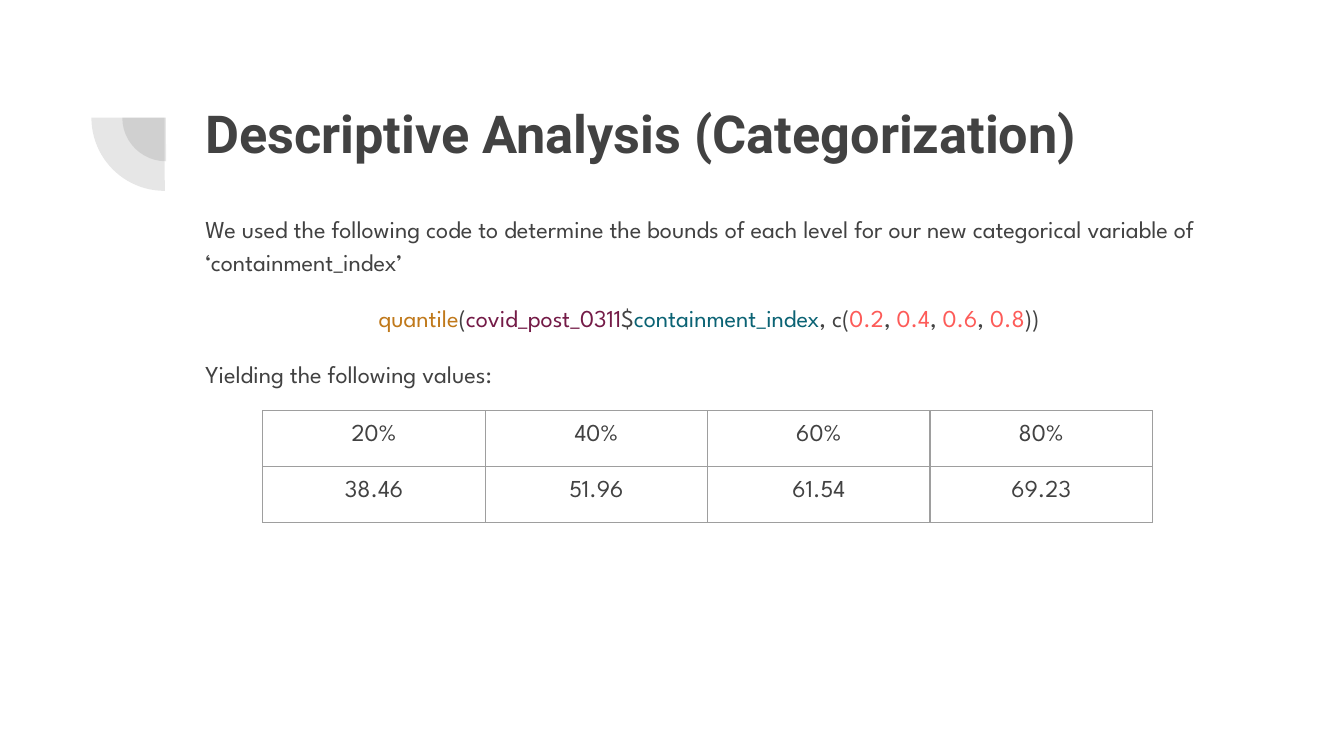
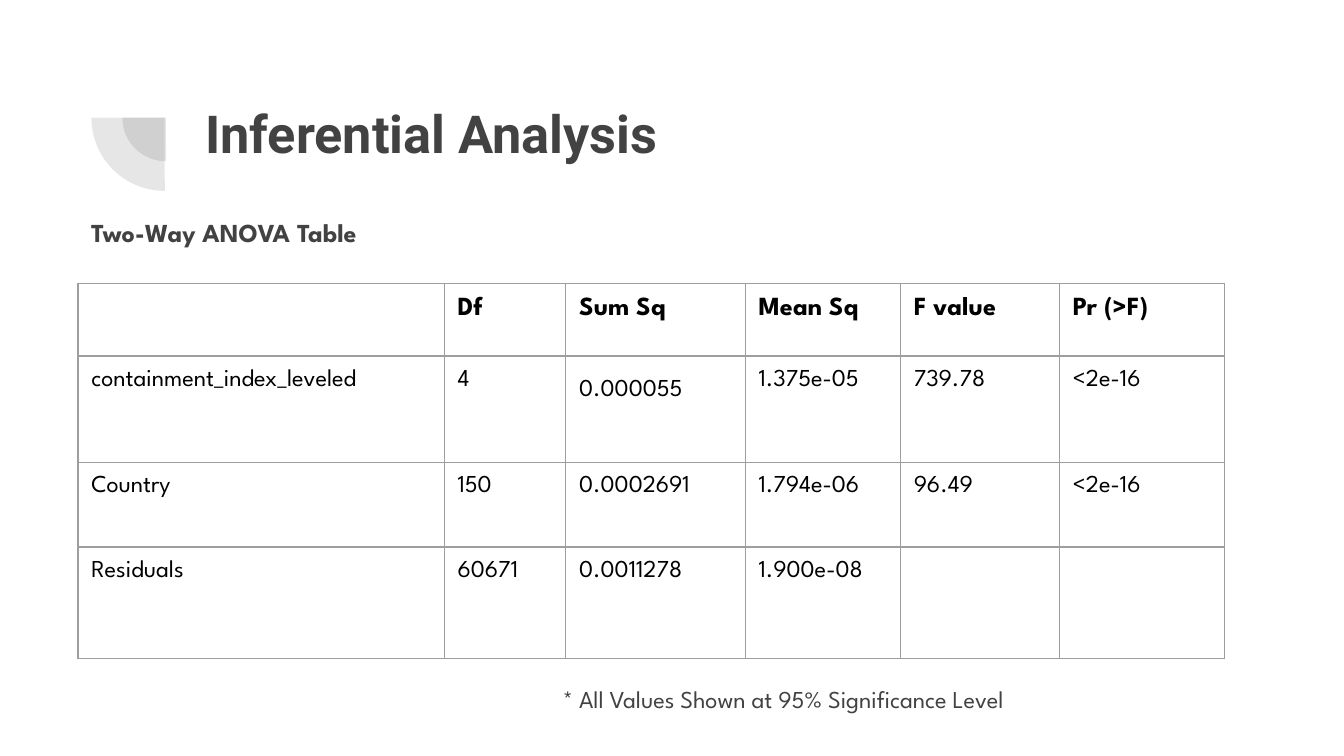
"""Build two slides of a statistical analysis deck."""
from dataclasses import dataclass
from typing import Optional

from lxml import etree
from pptx import Presentation
from pptx import util as u
from pptx.dml import color
from pptx.enum import shapes, text
from pptx.oxml import ns

PX = 4572


@dataclass(frozen=True)
class Theme:
    """Colours, fonts and type sizes of the deck."""
    ink: str = "424242"
    black: str = "000000"
    rule: str = "9E9E9E"
    function: str = "C0791B"
    dataset: str = "741B47"
    column: str = "0B6374"
    number: str = "FD5B58"
    title_font: str = "Roboto"
    body_font: str = "League Spartan"
    title_size: float = 28
    heading_size: float = 14
    subtitle_size: float = 13.9
    body_size: float = 13
    rule_width: float = 0.75
    badge_alpha: int = 13


THEME = Theme()


@dataclass(frozen=True)
class Box:
    """A rectangle in px."""
    left: int
    top: int
    width: int
    height: int

    def emu(self) -> tuple:
        """Return the four lengths in EMU."""
        return tuple(px(n) for n in (self.left, self.top, self.width, self.height))


@dataclass(frozen=True)
class Style:
    """The look of a run of text."""
    size: float = THEME.body_size
    color: str = THEME.ink
    bold: bool = False
    font: str = THEME.body_font


@dataclass(frozen=True)
class Layout:
    """Alignment and spacing of a paragraph."""
    align: text.PP_ALIGN = text.PP_ALIGN.LEFT
    spacing: Optional[float] = None
    before: float = 0
    after: float = 0


@dataclass(frozen=True)
class Line:
    """A paragraph made of (text, style) pieces."""
    pieces: tuple
    layout: Layout = Layout()


@dataclass(frozen=True)
class Grid:
    """A table with its place, track sizes and cell lines."""
    left: int
    top: int
    columns: tuple
    rows: tuple
    cells: tuple


TITLE_BOX = Box(286, 130, 1538, 218)
BADGES = (Box(182, 110, 130, 130), Box(136, 66, 218, 218))
PADDING = 20
BODY = Style()
TITLE = Style(THEME.title_size, bold=True, font=THEME.title_font)
SUBTITLE = Style(THEME.subtitle_size, bold=True)
HEADING = Style(THEME.heading_size, THEME.black, True)
VALUE = Style(color=THEME.black)
FUNCTION = Style(color=THEME.function)
DATASET = Style(color=THEME.dataset)
COLUMN = Style(color=THEME.column)
NUMBER = Style(color=THEME.number)
CENTERED = Layout(text.PP_ALIGN.CENTER)
LOOSE = Layout(spacing=1.43, after=8)

INTRO = ("We used the following code to determine the bounds of each level "
         "for our new categorical variable of ‘containment_index’")
CODE = (
    ("quantile", FUNCTION), ("(", BODY), ("covid_post_0311", DATASET),
    ("$", BODY), ("containment_index", COLUMN), (", c(", BODY),
    ("0.2", NUMBER), (", ", BODY), ("0.4", NUMBER), (", ", BODY),
    ("0.6", NUMBER), (", ", BODY), ("0.8", NUMBER), ("))", BODY),
)
QUANTILES = (
    ("20%", "40%", "60%", "80%"),
    ("38.46", "51.96", "61.54", "69.23"),
)
ANOVA = (
    ("", "Df", "Sum Sq", "Mean Sq", "F value", "Pr (>F)"),
    ("containment_index_leveled", "4", "0.000055", "1.375e-05", "739.78", "<2e-16"),
    ("Country", "150", "0.0002691", "1.794e-06", "96.49", "<2e-16"),
    ("Residuals", "60671", "0.0011278", "1.900e-08", "", ""),
)


def px(length: int) -> u.Emu:
    """Turn px into EMU."""
    return u.Emu(length * PX)


def rgb(value: str) -> color.RGBColor:
    """Turn a hex string into a colour."""
    return color.RGBColor.from_string(value)


def line(words: str, style: Style = BODY, layout: Layout = Layout()) -> Line:
    """Make a paragraph in one style."""
    return Line(((words, style),) if words else (), layout)


def fill_frame(frame, lines: tuple) -> None:
    """Write formatted paragraphs into a text frame."""
    frame.word_wrap = True
    for index, item in enumerate(lines):
        para = frame.add_paragraph() if index else frame.paragraphs[0]
        para.alignment = item.layout.align
        para.line_spacing = item.layout.spacing
        para.space_before = u.Pt(item.layout.before)
        para.space_after = u.Pt(item.layout.after)
        for words, style in item.pieces:
            span = para.add_run()
            span.text = words
            span.font.name = style.font
            span.font.size = u.Pt(style.size)
            span.font.bold = style.bold
            span.font.color.rgb = rgb(style.color)


def pad(target) -> None:
    """Give a text frame or cell equal margins."""
    for side in ("left", "right", "top", "bottom"):
        setattr(target, f"margin_{side}", px(PADDING))


def add_text(page, box: Box, *lines: Line) -> None:
    """Place a text box."""
    frame = page.shapes.add_textbox(*box.emu()).text_frame
    pad(frame)
    fill_frame(frame, lines)


def add_badge(page, box: Box) -> None:
    """Draw a translucent quarter disc."""
    badge = page.shapes.add_shape(shapes.MSO_SHAPE.PIE, *box.emu())
    badge.adjustments[0] = 107.93
    badge.adjustments[1] = 162
    badge.rotation = 270
    badge.shadow.inherit = False
    badge.line.fill.background()
    badge.fill.solid()
    badge.fill.fore_color.rgb = rgb(THEME.ink)
    tint = next(badge._element.spPr.iter(ns.qn("a:srgbClr")))
    etree.SubElement(tint, ns.qn("a:alpha"), val=str(THEME.badge_alpha * 1000))


def add_borders(cell) -> None:
    """Rule all four sides of a cell."""
    properties = cell._tc.get_or_add_tcPr()
    for side in ("lnL", "lnR", "lnT", "lnB"):
        edge = etree.SubElement(properties, ns.qn(f"a:{side}"),
                                w=str(u.Pt(THEME.rule_width)))
        paint = etree.SubElement(edge, ns.qn("a:solidFill"))
        etree.SubElement(paint, ns.qn("a:srgbClr"), val=THEME.rule)


def add_grid(page, grid: Grid) -> None:
    """Place a ruled table without fills."""
    box = Box(grid.left, grid.top, sum(grid.columns), sum(grid.rows))
    table = page.shapes.add_table(len(grid.rows), len(grid.columns), *box.emu()).table
    table.first_row = table.horz_banding = False
    for column, width in zip(table.columns, grid.columns):
        column.width = px(width)
    for row, height, lines in zip(table.rows, grid.rows, grid.cells):
        row.height = px(height)
        for cell, item in zip(row.cells, lines):
            pad(cell)
            add_borders(cell)
            cell.fill.background()
            fill_frame(cell.text_frame, (item,))


def add_page(deck, title: str):
    """Add a blank page with the badge and a title."""
    page = deck.slides.add_slide(deck.slide_layouts[6])
    for box in BADGES:
        add_badge(page, box)
    add_text(page, TITLE_BOX, line(title, TITLE))
    return page


def anova_line(row: int, words: str) -> Line:
    """Style one cell of the ANOVA table."""
    layout = LOOSE if words == "0.000055" else Layout()
    return line(words, VALUE if row else HEADING, layout)


def build_categorization(deck) -> None:
    """Build the slide of quantile bounds."""
    page = add_page(deck, "Descriptive Analysis (Categorization)")
    add_text(
        page, Box(286, 292, 1538, 556),
        line(INTRO, layout=Layout(spacing=1.15)),
        Line(CODE, Layout(text.PP_ALIGN.CENTER, 1.15, 12)),
        line("Yielding the following values:", layout=Layout(spacing=1.15, before=12)),
    )
    cells = tuple(tuple(line(words, layout=CENTERED) for words in row)
                  for row in QUANTILES)
    add_grid(page, Grid(391, 611, (331,) * 4, (75,) * 2, cells))


def build_inference(deck) -> None:
    """Build the slide of the ANOVA table."""
    page = add_page(deck, "Inferential Analysis")
    cells = tuple(tuple(anova_line(index, words) for words in row)
                  for index, row in enumerate(ANOVA))
    add_grid(page, Grid(116, 422, (545, 181, 267, 231, 237, 246),
                        (108, 158, 126, 166), cells))
    add_text(page, Box(116, 306, 1538, 84),
             line("Two-Way ANOVA Table", SUBTITLE, Layout(spacing=0.95, after=12)))
    add_text(page, Box(818, 992, 1006, 84),
             line("* All Values Shown at 95% Significance Level",
                  layout=Layout(spacing=1.15, after=12)))


def main() -> None:
    """Build and save the deck."""
    deck = Presentation()
    deck.slide_width, deck.slide_height = px(2000), px(1125)
    build_categorization(deck)
    build_inference(deck)
    deck.save("out.pptx")


if __name__ == "__main__":
    main()
